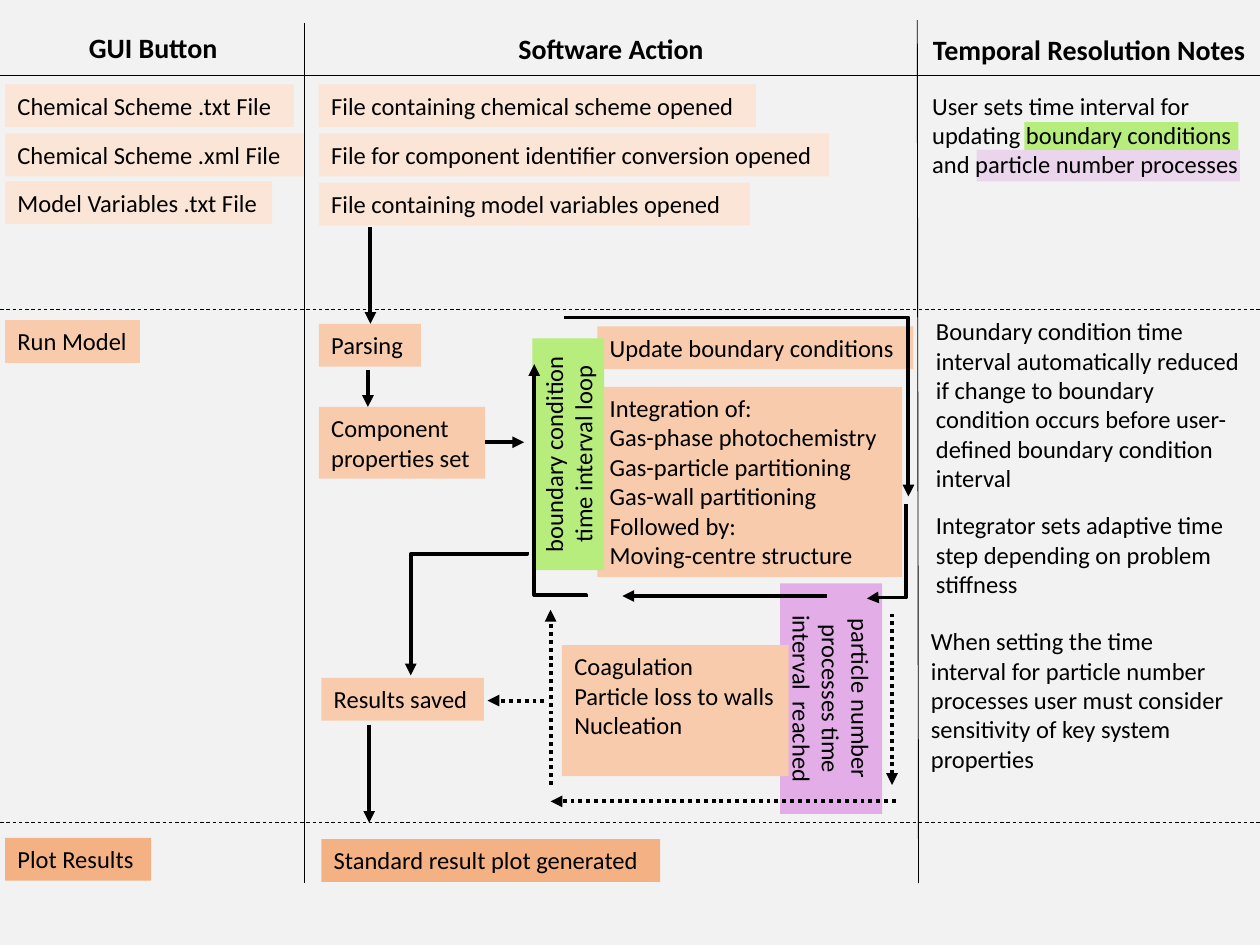
import pptx
import pptx.util
import pptx.dml.color
import pptx.oxml.ns
import pptx.enum.dml
import pptx.enum.shapes
import pptx.enum.text
from lxml import etree

LIGHT, MID, DARK = "FBE5D6", "F8CBAD", "F4B183"
GREEN, PURPLE, BLACK = "B7ED7D", "E3AEE7", "000000"
SLIDE_W, SLIDE_H = 10, 7.5
BUTTON_X, ACTION_X, ROW_H = 0.04, 2.53, 0.34

# Content: column headers (text, left, top, width)
headers = [
    ("GUI Button", 0.04, 0.19, 2.35),
    ("Software Action", 2.42, 0.2, 4.86),
    ("Temporal Resolution Notes", 7.23, 0.21, 2.83),
]
# One-line steps: text, left, top, width, fill
steps = [
    ("Chemical Scheme .txt File", BUTTON_X, 0.67, 2.29, LIGHT),
    ("Chemical Scheme .xml File", BUTTON_X, 1.06, 2.37, LIGHT),
    ("Model Variables .txt File", BUTTON_X, 1.44, 2.12, LIGHT),
    ("Run Model", BUTTON_X, 2.54, 1.07, MID),
    ("Plot Results", BUTTON_X, 6.65, 1.16, DARK),
    ("File containing chemical scheme opened", ACTION_X, 0.67, 3.47, LIGHT),
    ("File for component identifier conversion opened", ACTION_X, 1.06, 4.05, LIGHT),
    ("File containing model variables opened", ACTION_X, 1.45, 3.42, LIGHT),
    ("Parsing", ACTION_X, 2.57, 0.81, MID),
    ("Update boundary conditions", 4.74, 2.59, 2.51, MID),
    ("Results saved", 2.55, 5.38, 1.29, MID),
    ("Standard result plot generated", 2.55, 6.66, 2.69, DARK),
]
# Multi-line steps: text, left, top, width, height, wrap
blocks = [
    ("Component\nproperties set", ACTION_X, 3.23, 1.32, 0.57, False),
    ("Integration of:\nGas-phase photochemistry\nGas-particle partitioning\n"
     "Gas-wall partitioning\nFollowed by:\nMoving-centre structure",
     4.74, 3.07, 2.42, 1.51, True),
    ("Coagulation\nParticle loss to walls\nNucleation", 4.46, 5.12, 1.8, 1.04, True),
]
notes = [
    ("User sets time interval for updating boundary conditions\n"
     "and particle number processes", 7.3, 0.67, 2.7, 0.81),
    ("Boundary condition time interval automatically reduced if change to boundary "
     "condition occurs before user-defined boundary condition interval",
     7.33, 2.46, 2.68, 1.52),
    ("Integrator sets adaptive time step depending on problem stiffness",
     7.33, 4, 2.53, 0.81),
    ("When setting the time interval for particle number processes user must "
     "consider sensitivity of key system properties", 7.29, 4.92, 2.53, 1.28),
]
# Lines: x1, y1, x2, y2, dash
rules = [
    (2.42, 0.18, 2.42, 7.01, None),
    (7.28, 0.16, 7.29, 7.01, None),
    (0, 0.6, SLIDE_W, 0.6, None),
    (0, 2.46, SLIDE_W, 2.46, "DASH"),
    (0, 6.53, SLIDE_W, 6.53, "DASH"),
]
arrows = [
    (2.94, 1.8, 2.94, 2.57, None),
    (2.92, 2.94, 2.92, 3.23, None),
    (3.85, 3.51, 4.16, 3.51, None),
    (2.93, 5.75, 2.93, 6.53, None),
    (6.56, 4.73, 4.94, 4.73, None),
    (4.32, 5.56, 3.87, 5.56, "ROUND_DOT"),
    (7.08, 4.87, 7.08, 6.23, "ROUND_DOT"),
    (4.37, 6.23, 4.37, 4.84, "ROUND_DOT"),
    (7.11, 6.36, 4.37, 6.36, "ROUND_DOT"),
]
# Elbow arrows: left, top, width, height, rotation, vertical flip, bend share
elbows = [
    (4.48, 2.52, 2.73, 1.42, 0, False, 1),
    (6.66, 4.22, 0.75, 0.31, 90, False, 0.99),
    (3.52, 3.61, 1.85, 0.41, 270, True, 0.01),
    (3.23, 4.41, 0.98, 0.92, 90, False, 0.02),
]

prs = pptx.Presentation()
prs.slide_width = pptx.util.Inches(SLIDE_W)
prs.slide_height = pptx.util.Inches(SLIDE_H)
s = prs.slides.add_slide(prs.slide_layouts[6])


def paint(fill, color):
    fill.solid()
    fill.fore_color.rgb = pptx.dml.color.RGBColor.from_string(color)


def inches(*lengths):
    return [pptx.util.Inches(v) for v in lengths]


def sub(parent, tag, **attrs):
    return etree.SubElement(parent, pptx.oxml.ns.qn(tag), **attrs)


def write(sp, text, size=14, bold=False, center=False, wrap=True):
    tf = sp.text_frame
    tf.text = text
    tf.word_wrap = wrap
    tf.vertical_anchor = pptx.enum.text.MSO_ANCHOR.TOP
    align = pptx.enum.text.PP_ALIGN
    for p in tf.paragraphs:
        p.alignment = align.CENTER if center else align.LEFT
        for r in p.runs:
            r.font.name, r.font.size, r.font.bold = "Calibri", pptx.util.Pt(size), bold
            paint(r.font.fill, BLACK)


def box(x, y, w, h, color, text="", rotation=0, **style):
    sp = s.shapes.add_shape(pptx.enum.shapes.MSO_SHAPE.RECTANGLE, *inches(x, y, w, h))
    sp.shadow.inherit = False
    sp.line.fill.background()
    paint(sp.fill, color)
    sp.rotation = rotation
    if text:
        write(sp, text, **style)
    return sp


def label(text, x, y, w, h, **style):
    write(s.shapes.add_textbox(*inches(x, y, w, h)), text, **style)


def line(x1, y1, x2, y2, dash=None, width=0.5, arrow=False, kind="STRAIGHT"):
    kind = pptx.enum.shapes.MSO_CONNECTOR[kind]
    c = s.shapes.add_connector(kind, *inches(x1, y1, x2, y2))
    paint(c.line.fill, BLACK)
    c.line.width = pptx.util.Pt(width)
    if dash:
        c.line.dash_style = pptx.enum.dml.MSO_LINE[dash]
    if arrow:
        sub(c.line._get_or_add_ln(), "a:tailEnd", type="triangle")
    sub(c._element.spPr, "a:effectLst")
    return c


def elbow(x, y, w, h, rotation, flip, bend):
    c = line(x, y, x + w, y + h, width=2.25, arrow=True, kind="ELBOW")
    spPr = c._element.spPr
    xfrm = spPr.find(pptx.oxml.ns.qn("a:xfrm"))
    xfrm.set("rot", str(rotation * 60000))
    if flip:
        xfrm.set("flipV", "1")
    geom = spPr.find(pptx.oxml.ns.qn("a:prstGeom"))
    for old in list(geom):
        geom.remove(old)
    sub(sub(geom, "a:avLst"), "a:gd", name="adj1", fmla=f"val {round(bend * 100000)}")


# Background and highlights behind the notes
paint(s.background.fill, "F2F2F2")
box(8.13, 0.97, 1.7, 0.22, GREEN)
highlight = box(7.75, 1.19, 2.09, 0.25, PURPLE)
clr = highlight._element.spPr.find(".//" + pptx.oxml.ns.qn("a:srgbClr"))
sub(clr, "a:alpha", val="42000")

# Process boxes, with the two rotated loop labels
box(5.68, 5.14, 1.83, 0.81, PURPLE,
    "particle number processes time interval\u00a0 reached", rotation=90, center=True)
for text, x, y, w, color in steps:
    box(x, y, w, ROW_H, color, text, wrap=False)
for text, x, y, w, h, wrap in blocks:
    box(x, y, w, h, MID, text, wrap=wrap)
box(3.59, 3.32, 1.84, 0.57, GREEN, "boundary condition time interval loop",
    rotation=270, center=True)

# Grid rules and flow arrows
for rule in rules:
    line(*rule)
for arrow in arrows:
    line(*arrow, width=2.25, arrow=True)
for bent in elbows:
    elbow(*bent)

# Headers and notes
for text, x, y, w in headers:
    label(text, x, y, w, 0.37, size=16, bold=True, center=True)
for note in notes:
    label(*note)

prs.save("out.pptx")
